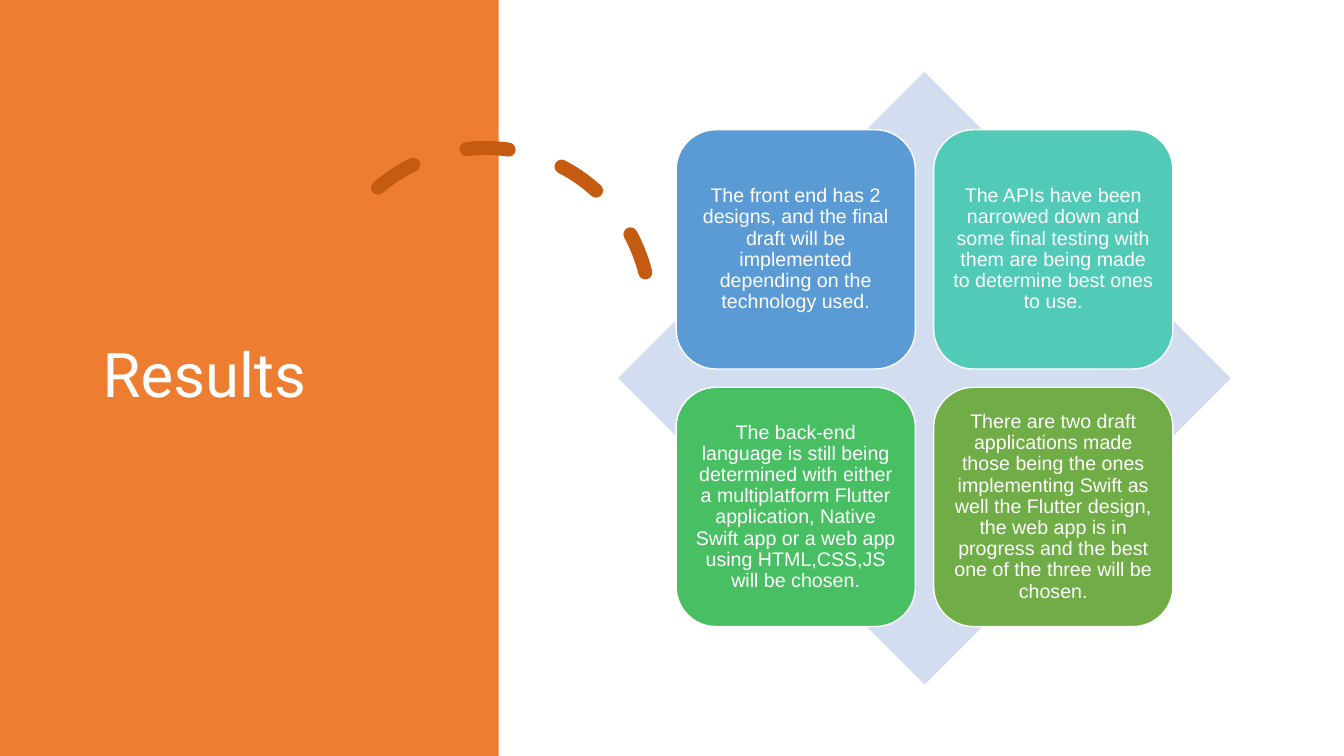
from lxml import etree
from pptx import Presentation
from pptx import util as u
from pptx.dml.color import RGBColor
from pptx.enum import dml, shapes, text

TITLE = "Results"
TILES = [
    ("The front end has 2 designs, and the final draft will be implemented "
     "depending on the technology used.", "5B9BD5"),
    ("The APIs have been narrowed down and some final testing with them are "
     "being made to determine best ones to use.", "52CAB8"),
    ("The back-end language is still being determined with either a "
     "multiplatform Flutter application, Native Swift app or a web app using "
     "HTML,CSS,JS will be chosen.", "49BF64"),
    ("There are two draft applications made those being the ones implementing "
     "Swift as well the Flutter design, the web app is in progress and the "
     "best one of the three will be chosen.", "70AD47"),
]

WIDTH, HEIGHT = 33.87, 19.05
PANEL_WIDTH = 12.57
CENTER_X, CENTER_Y = 23.3, 9.53
DIAMOND_SIZE = 15.44
TILE_SIZE, TILE_GAP = 6.03, 0.46
COLUMNS = 2


def color(value):
    return RGBColor.from_string(value)


def add_shape(slide, kind, left, top, width, height, fill=None, line=None, weight=1):
    shape = slide.shapes.add_shape(kind, u.Cm(left), u.Cm(top), u.Cm(width), u.Cm(height))
    shape.shadow.inherit = False
    if fill:
        shape.fill.solid()
        shape.fill.fore_color.rgb = color(fill)
    else:
        shape.fill.background()
    if line:
        shape.line.color.rgb = color(line)
        shape.line.width = u.Pt(weight)
    else:
        shape.line.fill.background()
    return shape


def write(shape, content, font, size, align, inset_x, inset_y, after=0):
    frame = shape.text_frame
    frame.word_wrap = True
    frame.vertical_anchor = text.MSO_ANCHOR.MIDDLE
    frame.margin_left = frame.margin_right = u.Cm(inset_x)
    frame.margin_top = frame.margin_bottom = u.Cm(inset_y)
    paragraph = frame.paragraphs[0]
    paragraph.alignment = align
    paragraph.line_spacing = 0.9
    paragraph.space_after = u.Pt(after)
    run = paragraph.add_run()
    run.text = content
    run.font.name = font
    run.font.size = u.Pt(size)
    run.font.color.rgb = color("FFFFFF")


def add_dashed_arc(slide):
    arc = add_shape(slide, shapes.MSO_SHAPE.ARC, 8.08, 3.73, 8.31, 8.31,
                    line="C55A11", weight=10)
    arc.adjustments[0] = 146.13
    arc.adjustments[1] = 0
    arc.rotation = 345.8
    arc.line.dash_style = dml.MSO_LINE.DASH
    outline = arc.line._get_or_add_ln()
    outline.set("cap", "rnd")
    namespace = outline.nsmap["a"]
    dash = outline.find(f"{{{namespace}}}prstDash")
    dash.addnext(etree.Element(f"{{{namespace}}}round"))


def add_tiles(slide):
    pitch = TILE_SIZE + TILE_GAP
    offset = TILE_SIZE + TILE_GAP / 2
    for index, (content, fill) in enumerate(TILES):
        row, column = divmod(index, COLUMNS)
        tile = add_shape(slide, shapes.MSO_SHAPE.ROUNDED_RECTANGLE,
                         CENTER_X - offset + column * pitch,
                         CENTER_Y - offset + row * pitch,
                         TILE_SIZE, TILE_SIZE, fill, line="FFFFFF")
        write(tile, content, "Arial", 14, text.PP_ALIGN.CENTER, 0.15, 0.15, after=4.9)


def main():
    presentation = Presentation()
    presentation.slide_width = u.Cm(WIDTH)
    presentation.slide_height = u.Cm(HEIGHT)
    slide = presentation.slides.add_slide(presentation.slide_layouts[6])

    add_shape(slide, shapes.MSO_SHAPE.RECTANGLE, 0, 0, PANEL_WIDTH, HEIGHT, "ED7D31")
    add_dashed_arc(slide)
    title = slide.shapes.add_textbox(u.Cm(2.34), u.Cm(1.78), u.Cm(8.2), u.Cm(15.47))
    write(title, TITLE, "Roboto", 44, text.PP_ALIGN.LEFT, 0.25, 0.13)
    add_shape(slide, shapes.MSO_SHAPE.DIAMOND,
              CENTER_X - DIAMOND_SIZE / 2, CENTER_Y - DIAMOND_SIZE / 2,
              DIAMOND_SIZE, DIAMOND_SIZE, "D2DEEF")
    add_tiles(slide)

    presentation.save("out.pptx")


if __name__ == "__main__":
    main()
